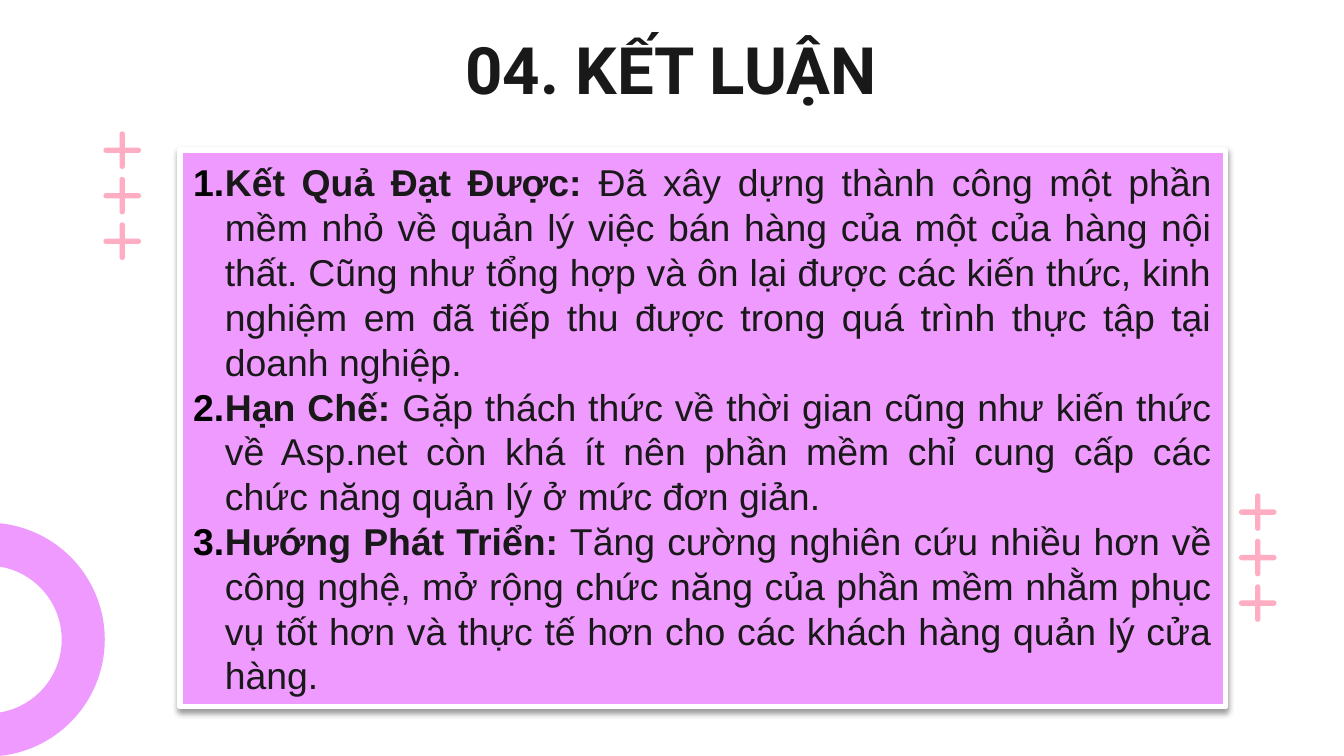
from lxml import etree
from pptx import Presentation
from pptx.dml.color import RGBColor
from pptx.enum.shapes import MSO_SHAPE
from pptx.enum.text import MSO_ANCHOR, PP_ALIGN
from pptx.oxml.ns import qn
from pptx.util import Cm, Pt

DONUT = MSO_SHAPE.DONUT
RECTANGLE = MSO_SHAPE.RECTANGLE
ROUNDED = MSO_SHAPE.ROUNDED_RECTANGLE
MIDDLE = MSO_ANCHOR.MIDDLE
CENTER = PP_ALIGN.CENTER
JUSTIFY = PP_ALIGN.JUSTIFY

COLORS = {
    "violet": "EF9AFF",
    "pink": "FEADC2",
    "ink": "191919",
    "black": "000000",
    "white": "FFFFFF",
}

PLUS_SIZE, PLUS_THICKNESS, PLUS_STEP = 0.71, 0.1, 0.86

CONCLUSIONS = [
    ("Kết Quả Đạt Được: ",
     "Đã xây dựng thành công một phần mềm nhỏ về quản lý việc bán hàng của một "
     "của hàng nội thất. Cũng như tổng hợp và ôn lại được các kiến thức, kinh "
     "nghiệm em đã tiếp thu được trong quá trình thực tập tại doanh nghiệp."),
    ("Hạn Chế:",
     " Gặp thách thức về thời gian cũng như kiến thức về Asp.net còn khá ít nên "
     "phần mềm chỉ cung cấp các chức năng quản lý ở mức đơn giản."),
    ("Hướng Phát Triển:",
     " Tăng cường nghiên cứu nhiều hơn về công nghệ, mở rộng chức năng của phần "
     "mềm nhằm phục vụ tốt hơn và thực tế hơn cho các khách hàng quản lý cửa hàng."),
]


def color(name):
    return RGBColor.from_string(COLORS[name])


def add_filled(shapes, kind, left, top, width, height, fill):
    shape = shapes.add_shape(kind, Cm(left), Cm(top), Cm(width), Cm(height))
    shape.shadow.inherit = False
    shape.fill.solid()
    shape.fill.fore_color.rgb = color(fill)
    shape.line.fill.background()
    return shape


def add_plus_column(page, center_x, first_y):
    """Three plus signs, each made of two crossed rounded bars."""
    group = page.shapes.add_group_shape()
    for row in range(3):
        for angle in (90, 180):
            bar = add_filled(group.shapes, ROUNDED, center_x - PLUS_SIZE / 2,
                             first_y + row * PLUS_STEP - PLUS_THICKNESS / 2,
                             PLUS_SIZE, PLUS_THICKNESS, "pink")
            bar.adjustments[0] = 0.5
            bar.rotation = angle


def add_span(para, text, font, size, bold):
    span = para.add_run()
    span.text = text
    span.font.name = font
    span.font.size = Pt(size)
    span.font.bold = bold
    span.font.color.rgb = color("ink")


def add_title(page, text):
    box = page.shapes.add_textbox(Cm(2.31), Cm(0.43), Cm(20.75), Cm(1.73))
    frame = box.text_frame
    frame.word_wrap = True
    frame.vertical_anchor = MIDDLE
    frame.margin_top = frame.margin_bottom = Cm(0.25)
    para = frame.paragraphs[0]
    para.alignment = CENTER
    add_span(para, text, "Roboto", 35, True)


def add_shadow(shape):
    effects = shape._element.spPr.find(qn("a:effectLst"))
    shadow = etree.SubElement(effects, qn("a:outerShdw"), blurRad=str(Pt(3.1)),
                              dist=str(Pt(1.6)), dir="5400000", rotWithShape="0")
    tint = etree.SubElement(shadow, qn("a:srgbClr"), val=COLORS["black"])
    etree.SubElement(tint, qn("a:alpha"), val="38000")


def number_paragraph(para):
    properties = para._p.get_or_add_pPr()
    properties.set("marL", str(Cm(0.6)))
    properties.set("indent", str(-Cm(0.6)))
    bullet_color = etree.SubElement(properties, qn("a:buClr"))
    etree.SubElement(bullet_color, qn("a:srgbClr"), val=COLORS["black"])
    etree.SubElement(properties, qn("a:buFont"), typeface="+mj-lt")
    etree.SubElement(properties, qn("a:buAutoNum"), type="arabicPeriod")


def add_conclusions(page):
    panel = add_filled(page.shapes, RECTANGLE, 3.4, 2.84, 19.76, 10.52, "violet")
    panel.line.color.rgb = color("white")
    panel.line.width = Pt(3)
    add_shadow(panel)
    frame = panel.text_frame
    frame.word_wrap = True
    frame.vertical_anchor = MIDDLE
    for index, (heading, body) in enumerate(CONCLUSIONS):
        para = frame.add_paragraph() if index else frame.paragraphs[0]
        para.alignment = JUSTIFY
        number_paragraph(para)
        add_span(para, heading, "Arial", 20, True)
        add_span(para, body, "Arial", 20, False)


def main():
    deck = Presentation()
    deck.slide_width, deck.slide_height = Cm(25.4), Cm(14.29)
    page = deck.slides.add_slide(deck.slide_layouts[6])

    # Decoration behind the text
    ring = add_filled(page.shapes, DONUT, -2.44, 9.88, 4.42, 4.42, "violet")
    ring.adjustments[0] = 0.184
    add_plus_column(page, 23.77, 9.68)

    # Title and numbered conclusions
    add_title(page, "04. KẾT LUẬN")
    add_conclusions(page)

    # Decoration on the left
    add_plus_column(page, 2.31, 2.84)

    deck.save("out.pptx")


if __name__ == "__main__":
    main()
